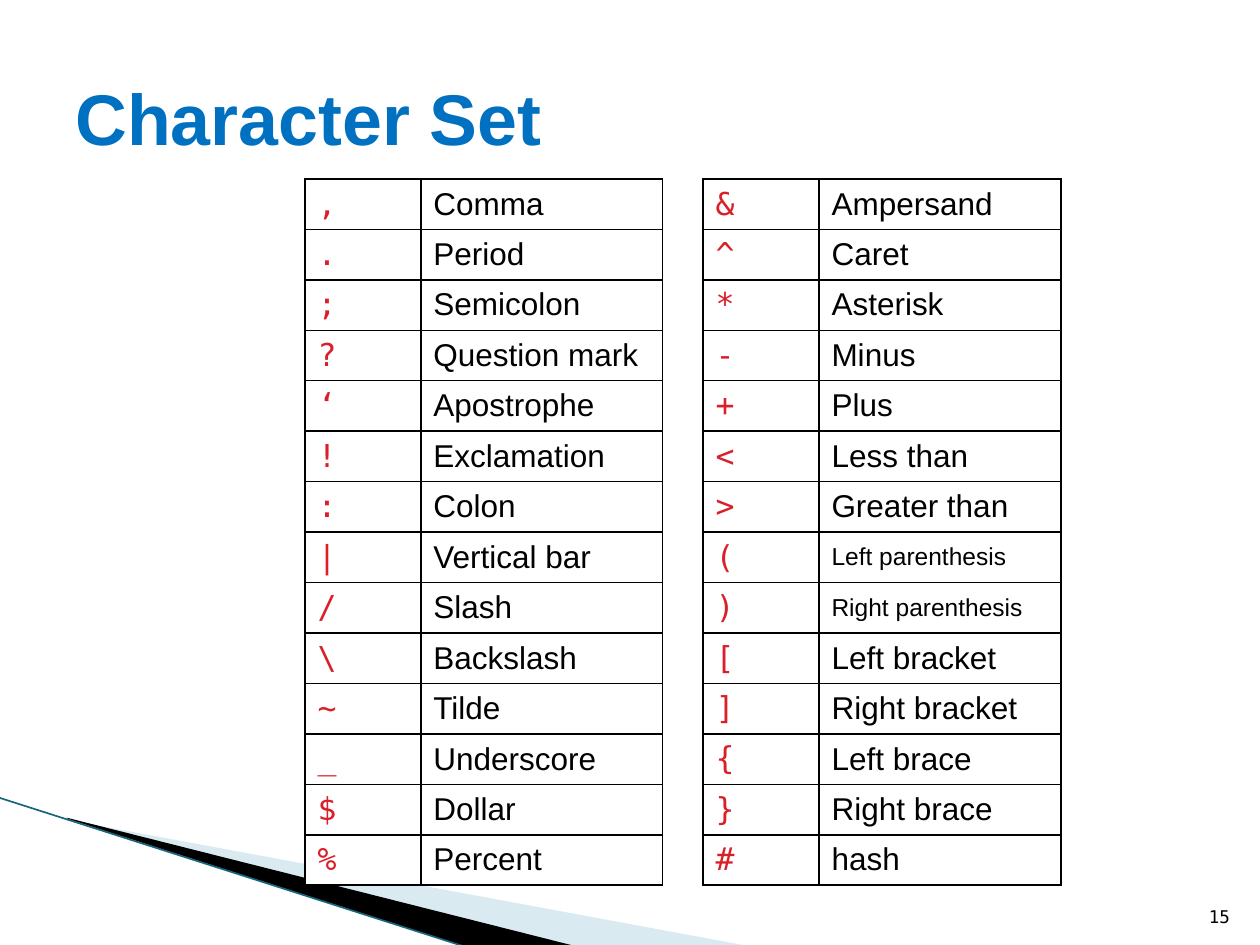
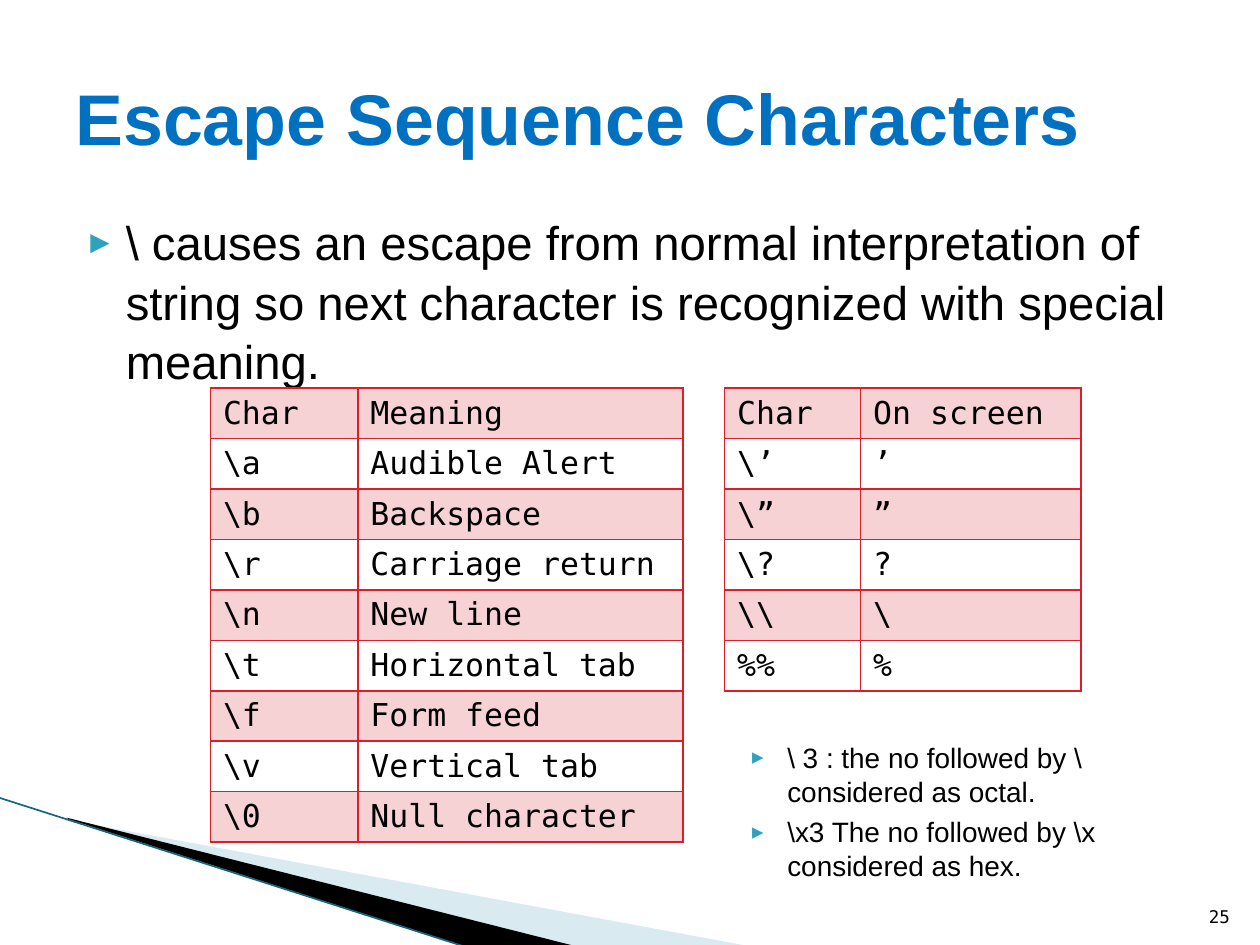
"""Build two lecture slides on the C character set and escape sequences."""
from dataclasses import dataclass

from lxml import etree
from pptx import Presentation
from pptx.dml.color import RGBColor
from pptx.enum.shapes import MSO_CONNECTOR
from pptx.enum.text import MSO_ANCHOR, PP_ALIGN
from pptx.oxml.ns import qn
from pptx.presentation import Presentation as Deck
from pptx.slide import Slide
from pptx.table import _Cell
from pptx.text.text import TextFrame, _Paragraph
from pptx.util import Inches, Pt

STRAIGHT = MSO_CONNECTOR.STRAIGHT
MIDDLE, BOTTOM, TOP = MSO_ANCHOR.MIDDLE, MSO_ANCHOR.BOTTOM, MSO_ANCHOR.TOP
RIGHT = PP_ALIGN.RIGHT


@dataclass(frozen=True)
class Theme:
    """Colours, fonts and type sizes of the deck."""
    title: str = "0070C0"
    ink: str = "000000"
    paper: str = "FFFFFF"
    red: str = "DA1F28"
    bullet: str = "2DA2BF"
    wedge: str = "A0CBDC"
    edge: str = "16677C"
    sans: str = "Arial"
    mono: str = "DejaVu Sans Mono"
    title_size: int = 41
    body_size: int = 27
    table_size: int = 18
    note_size: int = 16
    small_size: int = 14
    number_size: int = 10


THEME = Theme()


@dataclass(frozen=True)
class Style:
    """Look of a piece of text."""
    size: int
    font: str = THEME.sans
    color: str = THEME.ink
    bold: bool = False


@dataclass(frozen=True)
class Box:
    """Position and size in inches."""
    left: float
    top: float
    width: float
    height: float


@dataclass(frozen=True)
class TableLook:
    """Column styles, border colour and optional tint of alternate rows."""
    columns: tuple[Style, Style]
    border: str
    banded: bool


@dataclass(frozen=True)
class Grid:
    """A two-column table."""
    left: float
    top: float
    widths: tuple[float, float]
    rows: list[tuple[str, str]]


@dataclass(frozen=True)
class Wedge:
    """A filled corner outline with its opacity in percent."""
    points: tuple[tuple[float, float], ...]
    color: str
    opacity: int


TITLE = Style(THEME.title_size, color=THEME.title, bold=True)
BODY = Style(THEME.body_size)
NOTE = Style(THEME.note_size)
NUMBER = Style(THEME.number_size, THEME.mono)
LABEL = Style(THEME.table_size)
SMALL_LABEL = Style(THEME.small_size)
CODE = Style(THEME.table_size, THEME.mono)
SYMBOL = Style(THEME.table_size, THEME.mono, THEME.red)

SYMBOL_LOOK = TableLook((SYMBOL, LABEL), THEME.ink, False)
ESCAPE_LOOK = TableLook((CODE, CODE), THEME.red, True)

TITLE_BOX = Box(0.5, 0.3, 9, 1.25)
BODY_BOX = Box(0.5, 1.62, 9, 4.95)
NOTE_BOX = Box(5.75, 5.83, 3.92, 1.33)
NUMBER_BOX = Box(9.46, 7.01, 0.4, 0.4)
ROW_HEIGHT = 0.39
BAND_OPACITY = 20
LONG_LABELS = {"Left parenthesis", "Right parenthesis"}

WEDGES = (
    Wedge(((0.55, 6.51), (5.95, 7.51), (4.56, 7.51), (0.55, 6.5)), THEME.wedge, 40),
    Wedge(((0.53, 6.49), (4.57, 7.51), (3.72, 7.52), (0.54, 6.5)), THEME.ink, 100),
)

SYMBOL_WIDTHS = (0.92, 1.92)
SYMBOL_GRIDS = (
    Grid(2.42, 1.42, SYMBOL_WIDTHS, [
        (",", "Comma"), (".", "Period"), (";", "Semicolon"), ("?", "Question mark"),
        ("‘", "Apostrophe"), ("!", "Exclamation"), (":", "Colon"),
        ("|", "Vertical bar"), ("/", "Slash"), ("\\", "Backslash"), ("~", "Tilde"),
        ("_", "Underscore"), ("$", "Dollar"), ("%", "Percent"),
    ]),
    Grid(5.58, 1.42, SYMBOL_WIDTHS, [
        ("&", "Ampersand"), ("^", "Caret"), ("*", "Asterisk"), ("-", "Minus"),
        ("+", "Plus"), ("<", "Less than"), (">", "Greater than"),
        ("(", "Left parenthesis"), (")", "Right parenthesis"),
        ("[", "Left bracket"), ("]", "Right bracket"), ("{", "Left brace"),
        ("}", "Right brace"), ("#", "hash"),
    ]),
)
ESCAPE_GRIDS = (
    Grid(1.67, 3.08, (1.17, 2.58), [
        ("Char", "Meaning"), (r"\a", "Audible Alert"), (r"\b", "Backspace"),
        (r"\r", "Carriage return"), (r"\n", "New line"), (r"\t", "Horizontal tab"),
        (r"\f", "Form feed"), (r"\v", "Vertical tab"), (r"\0", "Null character"),
    ]),
    Grid(5.75, 3.08, (1.08, 1.75), [
        ("Char", "On screen"), (r"\’", "’"), (r"\”", "”"), (r"\?", "?"),
        (r"\\", "\\"), ("%%", "%"),
    ]),
)
ESCAPE_BODY = [
    "\\ causes an escape from normal interpretation of string so next character "
    "is recognized with special meaning.",
]
ESCAPE_NOTES = [
    "\\ 3 : the no followed by \\ considered as octal.",
    r"\x3 The no followed by \x considered as hex.",
]


def add_element(parent: etree._Element, tag: str, **attributes: str) -> etree._Element:
    """Append a drawing element with attributes."""
    return etree.SubElement(parent, qn(tag), attributes)


def paint(fill, color: str, opacity: int = 100) -> None:
    """Fill with a colour, partly transparent if asked."""
    fill.solid()
    fill.fore_color.rgb = RGBColor.from_string(color)
    if opacity < 100:
        add_element(fill._xPr.find(f".//{qn('a:srgbClr')}"), "a:alpha", val=str(opacity * 1000))


def format_paragraph(para: _Paragraph, style: Style) -> None:
    """Apply a style to each run."""
    for span in para.runs:
        span.font.size = Pt(style.size)
        span.font.name = style.font
        span.font.bold = style.bold
        span.font.color.rgb = RGBColor.from_string(style.color)


def add_text(page: Slide, box: Box, lines: list[str], style: Style,
             anchor: MSO_ANCHOR = TOP) -> TextFrame:
    """Add a wrapping text box with one paragraph per line."""
    frame = page.shapes.add_textbox(Inches(box.left), Inches(box.top),
                                    Inches(box.width), Inches(box.height)).text_frame
    frame.word_wrap = True
    frame.vertical_anchor = anchor
    frame.text = "\n".join(lines)
    for para in frame.paragraphs:
        format_paragraph(para, style)
    return frame


def add_bullets(page: Slide, box: Box, lines: list[str], style: Style,
                spacing: float = 1.0) -> None:
    """Add a text box of arrow bullets."""
    frame = add_text(page, box, lines, style)
    for index, para in enumerate(frame.paragraphs):
        properties = para._p.get_or_add_pPr()
        properties.set("marL", str(Inches(0.4)))
        properties.set("indent", str(Inches(-0.28)))
        add_element(add_element(properties, "a:buClr"), "a:srgbClr", val=THEME.bullet)
        add_element(properties, "a:buSzPct", val="68000")
        add_element(properties, "a:buFont", typeface=THEME.mono)
        add_element(properties, "a:buChar", char="▶")
        para.line_spacing = spacing
        if index:
            para.space_before = Pt(4)


def set_borders(cell: _Cell, color: str) -> None:
    """Draw a one-point line on every side of a cell."""
    properties = cell._tc.get_or_add_tcPr()
    for position, tag in enumerate(("a:lnL", "a:lnR", "a:lnT", "a:lnB")):
        line = add_element(properties, tag, w=str(Pt(1)))
        add_element(add_element(line, "a:solidFill"), "a:srgbClr", val=color)
        properties.insert(position, line)


def add_grid(page: Slide, grid: Grid, look: TableLook) -> None:
    """Add a two-column table in the given look."""
    table = page.shapes.add_table(
        len(grid.rows), len(grid.widths), Inches(grid.left), Inches(grid.top),
        Inches(sum(grid.widths)), Inches(ROW_HEIGHT * len(grid.rows))).table
    table.first_row = table.horz_banding = False
    for column, width in zip(table.columns, grid.widths):
        column.width = Inches(width)
    for index, (row, texts) in enumerate(zip(table.rows, grid.rows)):
        row.height = Inches(ROW_HEIGHT)
        for cell, text, style in zip(row.cells, texts, look.columns):
            cell.text = text
            cell.vertical_anchor = MIDDLE
            format_paragraph(cell.text_frame.paragraphs[0],
                             SMALL_LABEL if text in LONG_LABELS else style)
            if look.banded and index % 2 == 0:
                paint(cell.fill, THEME.red, BAND_OPACITY)
            else:
                paint(cell.fill, THEME.paper)
            set_borders(cell, look.border)


def add_corner(page: Slide) -> None:
    """Draw the wedges and edge line in the lower left corner."""
    for wedge in WEDGES:
        start, *others = [(Inches(x), Inches(y)) for x, y in wedge.points]
        builder = page.shapes.build_freeform(*start)
        builder.add_line_segments(others)
        shape = builder.convert_to_shape()
        shape.shadow.inherit = False
        shape.line.fill.background()
        paint(shape.fill, wedge.color, wedge.opacity)
    edge = page.shapes.add_connector(STRAIGHT, Inches(-0.01), Inches(6.33),
                                     Inches(3.71), Inches(7.52))
    edge.line.color.rgb = RGBColor.from_string(THEME.edge)
    edge.line.width = Pt(0.95)
    add_element(edge._element.spPr, "a:effectLst")


def add_page(deck: Deck, title: str, number: int) -> Slide:
    """Add a slide with the shared corner, title and page number."""
    page = deck.slides.add_slide(deck.slide_layouts[6])
    add_corner(page)
    add_text(page, TITLE_BOX, [title], TITLE, MIDDLE)
    footer = add_text(page, NUMBER_BOX, [str(number)], NUMBER, BOTTOM)
    footer.paragraphs[0].alignment = RIGHT
    return page


def main() -> None:
    """Build and save the deck."""
    deck = Presentation()
    deck.slide_width, deck.slide_height = Inches(10), Inches(7.5)

    symbols = add_page(deck, "Character Set", 15)
    for grid in SYMBOL_GRIDS:
        add_grid(symbols, grid, SYMBOL_LOOK)

    escapes = add_page(deck, "Escape Sequence Characters", 25)
    add_bullets(escapes, BODY_BOX, ESCAPE_BODY, BODY, 1.05)
    for grid in ESCAPE_GRIDS:
        add_grid(escapes, grid, ESCAPE_LOOK)
    add_bullets(escapes, NOTE_BOX, ESCAPE_NOTES, NOTE)

    deck.save("out.pptx")


if __name__ == "__main__":
    main()
